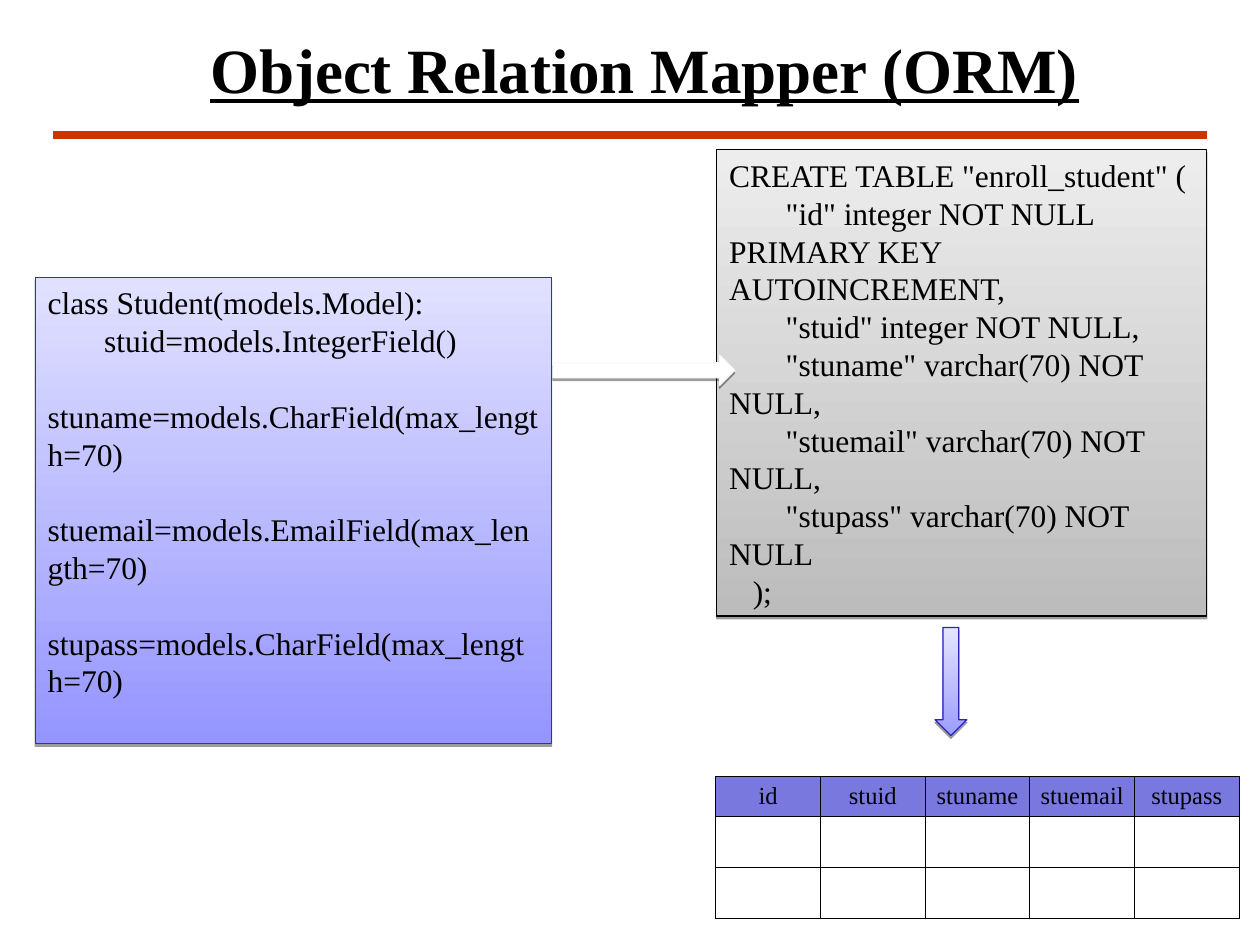
import lxml.etree
import pptx
import pptx.dml.color
import pptx.enum.shapes
import pptx.enum.text
import pptx.oxml
import pptx.oxml.ns
import pptx.util

Cm = pptx.util.Cm
Pt = pptx.util.Pt
SHAPES = pptx.enum.shapes.MSO_SHAPE
ALIGN = pptx.enum.text.PP_ALIGN
ANCHOR = pptx.enum.text.MSO_ANCHOR
qn = pptx.oxml.ns.qn

FONT = "Times New Roman"
TAB = Cm(1.14)
MODEL = [
    "class Student(models.Model):",
    "\tstuid=models.IntegerField()",
    "\tstuname=models.CharField(max_length=70)",
    "\tstuemail=models.EmailField(max_length=70)",
    "\tstupass=models.CharField(max_length=70)",
]
SQL = [
    'CREATE TABLE "enroll_student" (',
    '\t"id" integer NOT NULL PRIMARY KEY AUTOINCREMENT,',
    '\t"stuid" integer NOT NULL,',
    '\t"stuname" varchar(70) NOT NULL,',
    '\t"stuemail" varchar(70) NOT NULL,',
    '\t"stupass" varchar(70) NOT NULL',
    "   );",
]
COLUMNS = ["id", "stuid", "stuname", "stuemail", "stupass"]


def rgb(value):
    """Turn a hex string into a colour."""
    return pptx.dml.color.RGBColor.from_string(value)


def child(parent, tag, **attributes):
    """Append an XML element with the given attributes."""
    element = lxml.etree.SubElement(parent, qn(tag))
    for key, value in attributes.items():
        element.set(key, str(value))
    return element


def style_paragraph(paragraph, size, align=ALIGN.LEFT):
    """Apply the slide's font in black to a paragraph."""
    paragraph.alignment = align
    for run in paragraph.runs:
        run.font.name = FONT
        run.font.size = Pt(size)
        run.font.color.rgb = rgb("000000")


def add_title(slide, text):
    """Place the underlined heading in the title placeholder."""
    title = slide.shapes.title
    title.left, title.top, title.width, title.height = Cm(2.03), Cm(0), Cm(21.92), Cm(2.77)
    title.text_frame.text = text
    title.text_frame.vertical_anchor = ANCHOR.MIDDLE
    paragraph = title.text_frame.paragraphs[0]
    style_paragraph(paragraph, 36, ALIGN.CENTER)
    paragraph.runs[0].font.bold = True
    paragraph.runs[0].font.underline = True


def add_rule(slide):
    """Draw the red line below the heading."""
    rule = slide.shapes.add_connector(
        pptx.enum.shapes.MSO_CONNECTOR.STRAIGHT, Cm(1.07), Cm(2.72), Cm(24.33), Cm(2.72))
    rule.line.color.rgb = rgb("CC3300")
    rule.line.width = Pt(4.5)
    child(rule._element.spPr, "a:effectLst")


def add_shadowed_shape(slide, kind, box, fills, outline):
    """Draw a shape with a plain or upward gradient fill and a low shadow."""
    shape = slide.shapes.add_shape(kind, *map(Cm, box))
    if len(fills) == 1:
        shape.fill.solid()
        shape.fill.fore_color.rgb = rgb(fills[0])
    else:
        shape.fill.gradient()
        shape.fill.gradient_angle = 90
        for stop, color in zip(shape.fill.gradient_stops, fills):
            stop.color.rgb = rgb(color)
    shape.line.color.rgb = rgb(outline)
    shape.line.width = Pt(0.75)
    shape.shadow.inherit = False
    effects = shape._element.spPr.find(qn("a:effectLst"))
    shadow = child(effects, "a:outerShdw", blurRad=0, dist=Pt(1.6), dir=5400000, rotWithShape=0)
    child(child(shadow, "a:srgbClr", val="000000"), "a:alpha", val=38000)
    return shape


def add_code(slide, box, lines, fills, outline):
    """Draw a panel of code with tab-indented lines."""
    frame = add_shadowed_shape(slide, SHAPES.RECTANGLE, box, fills, outline).text_frame
    frame.word_wrap = True
    frame.vertical_anchor = ANCHOR.TOP
    frame.text = "\n".join(lines)
    for paragraph in frame.paragraphs:
        style_paragraph(paragraph, 18)
        tabs = child(paragraph._p.get_or_add_pPr(), "a:tabLst")
        for step in range(8):
            child(tabs, "a:tab", pos=step * TAB, algn="l")


def add_borders(cell):
    """Give a cell thin black lines on all sides."""
    properties = cell._tc.get_or_add_tcPr()
    for place, side in enumerate("LRTB"):
        line = child(properties, f"a:ln{side}", w=Pt(0.45))
        child(child(line, "a:solidFill"), "a:srgbClr", val="000000")
        properties.insert(place, line)


def add_student_table(slide):
    """Build the empty database table with its column names."""
    table = slide.shapes.add_table(
        3, len(COLUMNS), Cm(14.43), Cm(15.65), Cm(10.55), Cm(2.37)).table
    table.first_row = table.horz_banding = False
    for cell in table.iter_cells():
        cell.margin_left = cell.margin_right = Cm(0.2)
        cell.fill.background()
        add_borders(cell)
    for cell, name in zip(table.rows[0].cells, COLUMNS):
        cell.fill.solid()
        cell.fill.fore_color.rgb = rgb("7878DE")
        cell.text_frame.text = name
        style_paragraph(cell.text_frame.paragraphs[0], 14, ALIGN.CENTER)


def main():
    """Build and save the slide."""
    deck = pptx.Presentation()
    deck.slide_width, deck.slide_height = Cm(25.4), Cm(19.05)
    slide = deck.slides.add_slide(deck.slide_layouts[5])
    add_rule(slide)
    add_title(slide, "Object Relation Mapper (ORM)")
    add_code(slide, (0.71, 5.59, 10.41, 9.4), MODEL, ["9595FF", "E1E1FF"], "2E2ECB")
    add_code(slide, (14.45, 3.02, 9.88, 9.4), SQL, ["BCBCBC", "EDEDED"], "000000")
    add_student_table(slide)
    add_shadowed_shape(slide, SHAPES.RIGHT_ARROW, (11.15, 7.16, 3.66, 0.61), ["FFFFFF"], "F9F9F9")
    add_shadowed_shape(
        slide, SHAPES.DOWN_ARROW, (18.85, 12.65, 0.64, 2.18), ["9C9CFF", "E4E4FF"], "2828B8")
    deck.save("out.pptx")


if __name__ == "__main__":
    main()
